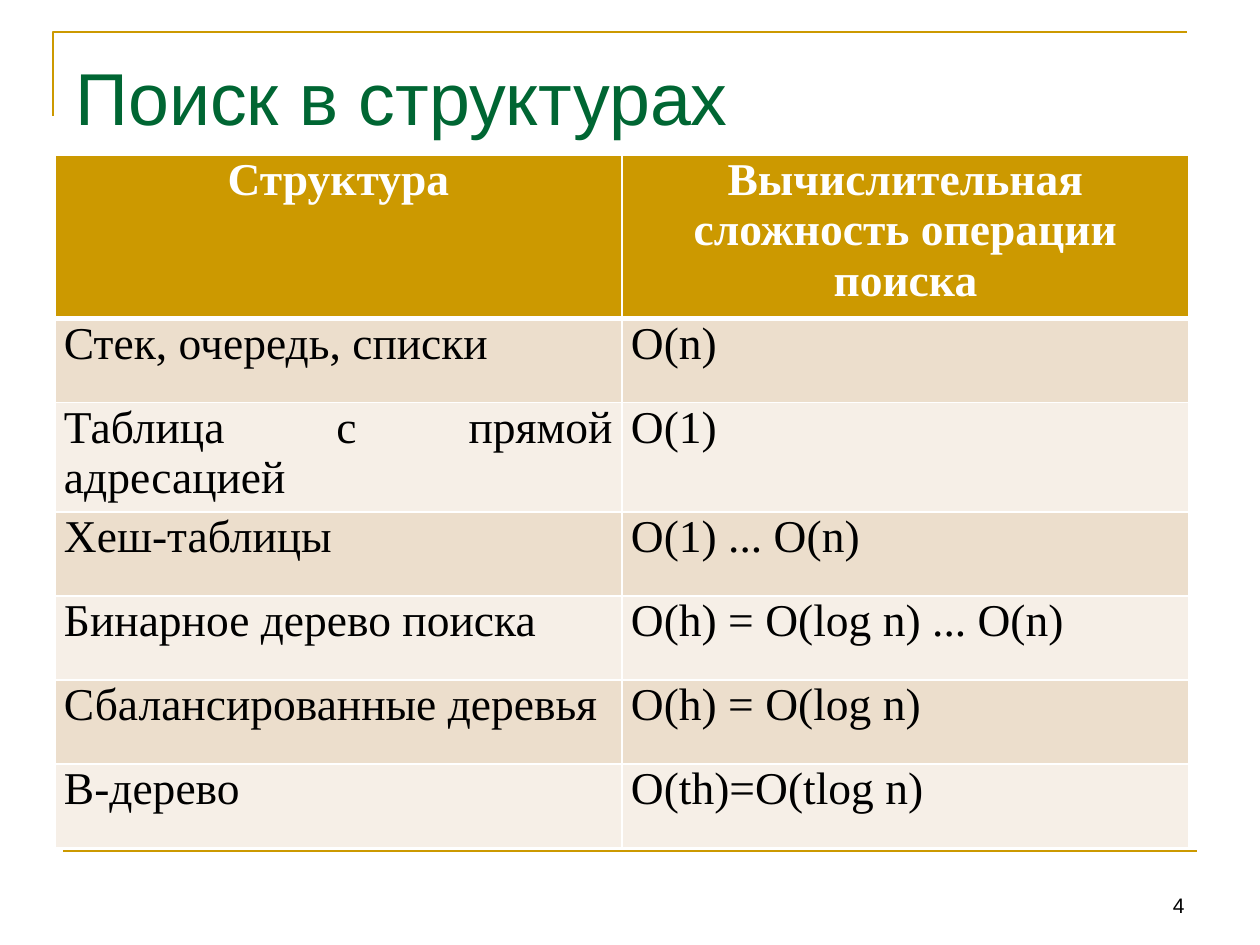
from lxml import etree
from pptx import Presentation
from pptx import util as u
from pptx.dml.color import RGBColor
from pptx.enum import shapes, text
from pptx.oxml.ns import qn

TITLE = "Поиск в структурах"
PAGE_NUMBER = "4"
HEADER = ("Структура", "Вычислительная сложность операции поиска")
ROWS = [
    ("Стек, очередь, списки", "O(n)"),
    ("Таблица с прямой адресацией", "O(1)"),
    ("Хеш-таблицы", "O(1) ... O(n)"),
    ("Бинарное дерево поиска", "O(h) = O(log n) ... O(n)"),
    ("Сбалансированные деревья", "O(h) = O(log n)"),
    ("В-дерево", "O(th)=O(tlog n)"),
]

GOLD = RGBColor(0xCC, 0x99, 0x00)
GREEN = RGBColor(0x00, 0x66, 0x33)
BLACK = RGBColor(0, 0, 0)
WHITE = RGBColor(255, 255, 255)
BANDS = (RGBColor(0xEC, 0xDE, 0xCC), RGBColor(0xF6, 0xEF, 0xE7))

ROW_HEIGHT = 84
COLUMN_WIDTH = 567
CELL_INSET = 9


def px(value):
    return u.Emu(round(value * 914400 / 126))


def set_font(paragraph, name, size, color, bold=False):
    font = paragraph.font
    font.name, font.size, font.bold = name, u.Pt(size), bold
    font.color.rgb = color


def style_line(shape):
    shape.line.color.rgb = GOLD
    shape.line.width = u.Pt(1.5)


def add_frame(slide):
    builder = slide.shapes.build_freeform(px(53), px(116))
    builder.add_line_segments([(px(53), px(32)), (px(1187), px(32))], close=False)
    corner = builder.convert_to_shape()
    corner.fill.background()
    corner.shadow.inherit = False
    style_line(corner)

    rule = slide.shapes.add_connector(
        shapes.MSO_CONNECTOR.STRAIGHT, px(63), px(851), px(1197), px(851))
    style_line(rule)
    etree.SubElement(rule._element.spPr, qn("a:effectLst"))


def add_label(slide, box, words, size, color, anchor, align):
    frame = slide.shapes.add_textbox(*map(px, box)).text_frame
    frame.word_wrap = True
    frame.vertical_anchor = anchor
    paragraph = frame.paragraphs[0]
    paragraph.text = words
    paragraph.alignment = align
    set_font(paragraph, "Arial", size, color)


def set_borders(cell, top, bottom):
    """Draw white borders; top and bottom are widths in points."""
    properties = cell._tc.get_or_add_tcPr()
    for side, width in (("L", 1), ("R", 1), ("T", top), ("B", bottom)):
        line = etree.SubElement(properties, qn(f"a:ln{side}"), w=str(u.Pt(width)))
        fill = etree.SubElement(line, qn("a:solidFill"))
        etree.SubElement(fill, qn("a:srgbClr"), val=str(WHITE))


def add_structure_table(slide):
    content = [HEADER, *ROWS]
    table = slide.shapes.add_table(
        len(content), len(HEADER), px(55), px(155),
        px(COLUMN_WIDTH * len(HEADER)), px(ROW_HEIGHT * len(content))).table
    for row_index, words in enumerate(content):
        is_header = row_index == 0
        for column_index, word in enumerate(words):
            cell = table.cell(row_index, column_index)
            cell.margin_left = cell.margin_right = px(CELL_INSET)
            cell.margin_top = cell.margin_bottom = 0
            set_borders(cell, top=3 if row_index == 1 else 1,
                        bottom=3 if is_header else 1)
            cell.fill.solid()
            cell.fill.fore_color.rgb = GOLD if is_header else BANDS[(row_index - 1) % 2]
            paragraph = cell.text_frame.paragraphs[0]
            paragraph.text = word
            paragraph.alignment = (
                text.PP_ALIGN.CENTER if is_header else text.PP_ALIGN.JUSTIFY)
            set_font(paragraph, "Times New Roman", 26,
                     WHITE if is_header else BLACK, bold=is_header)


def main():
    presentation = Presentation()
    presentation.slide_width, presentation.slide_height = px(1260), px(945)
    slide = presentation.slides.add_slide(presentation.slide_layouts[6])
    add_frame(slide)
    add_label(slide, (63, 38, 1134, 117), TITLE, 42, GREEN,
              text.MSO_ANCHOR.MIDDLE, text.PP_ALIGN.LEFT)
    add_label(slide, (903, 861, 294, 63), PAGE_NUMBER, 12, BLACK,
              text.MSO_ANCHOR.BOTTOM, text.PP_ALIGN.RIGHT)
    add_structure_table(slide)
    presentation.save("out.pptx")


if __name__ == "__main__":
    main()
